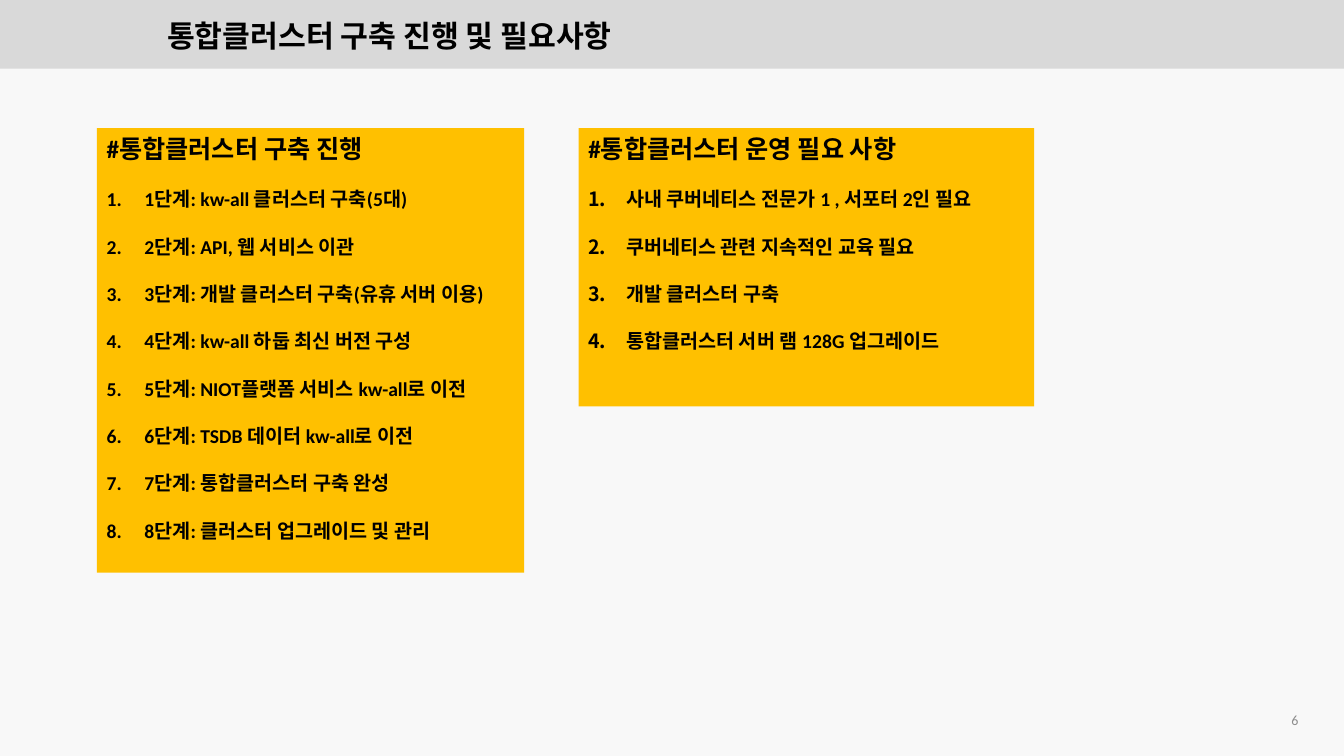
from pptx import Presentation
from pptx.dml.color import RGBColor
from pptx.enum.shapes import MSO_SHAPE
from pptx.enum.text import MSO_ANCHOR, PP_ALIGN
from pptx.oxml.xmlchemy import OxmlElement
from pptx.util import Cm, Pt

BLACK = RGBColor(0x00, 0x00, 0x00)
GRAY = RGBColor(0x8C, 0x8C, 0x8C)
BAND = RGBColor(0xD9, 0xD9, 0xD9)
PAPER = RGBColor(0xF8, 0xF8, 0xF8)
AMBER = RGBColor(0xFF, 0xC0, 0x00)

TITLE_FONT = {"name": "Noto Sans CJK KR", "size": Pt(21.6), "bold": True}
HEADING_FONT = {"name": "Calibri", "size": Pt(18), "bold": True}
ITEM_FONT = {"name": "Calibri", "size": Pt(14), "bold": True}
NUMBER_FONT = {"name": "Calibri", "size": Pt(10), "bold": False}
TITLE_FRAME = {
    "margin_left": Cm(0.1), "margin_right": Cm(0.1),
    "margin_top": Cm(0.1), "margin_bottom": Cm(0),
    "vertical_anchor": MSO_ANCHOR.MIDDLE, "word_wrap": True,
}
NUMBER_FRAME = {"vertical_anchor": MSO_ANCHOR.MIDDLE, "word_wrap": True}
PANEL_FRAME = {"vertical_anchor": MSO_ANCHOR.TOP, "word_wrap": True}
ITEM_GAP = Pt(17)
ITEM_INDENT = Cm(0.95)

BUILD_STEPS = [
    "kw-all 클러스터 구축(5대)",
    "API, 웹 서비스 이관",
    "개발 클러스터 구축(유휴 서버 이용)",
    "kw-all 하둡 최신 버전 구성",
    "NIOT플랫폼 서비스 kw-all로 이전",
    "TSDB 데이터 kw-all로 이전",
    "통합클러스터 구축 완성",
    "클러스터 업그레이드 및 관리",
]
OPERATION_NEEDS = [
    "사내 쿠버네티스 전문가 1 , 서포터 2인 필요",
    "쿠버네티스 관련 지속적인 교육 필요",
    "개발 클러스터 구축",
    "통합클러스터 서버 램 128G 업그레이드",
]


def apply_format(target, values):
    """Set every attribute named in values on target."""
    for name, value in values.items():
        setattr(target, name, value)


def write_text(para, text, font, color=BLACK):
    """Put one formatted span of text in a paragraph."""
    span = para.add_run()
    span.text = text
    apply_format(span.font, font)
    span.font.color.rgb = color


def number_paragraph(para):
    """Give a paragraph a hanging automatic number."""
    properties = para._p.get_or_add_pPr()
    properties.set("marL", str(ITEM_INDENT))
    properties.set("indent", str(-ITEM_INDENT))
    numbering = OxmlElement("a:buAutoNum")
    numbering.set("type", "arabicPeriod")
    properties.append(numbering)


def add_block(page, area, color):
    """Add a plain filled rectangle."""
    box = page.shapes.add_shape(MSO_SHAPE.RECTANGLE, *map(Cm, area))
    box.shadow.inherit = False
    box.fill.solid()
    box.fill.fore_color.rgb = color
    box.line.fill.background()
    return box


def add_label(page, area, text, frame, font, layout, color=BLACK):
    """Add a text box with a single paragraph."""
    box = page.shapes.add_textbox(*map(Cm, area))
    apply_format(box.text_frame, frame)
    para = box.text_frame.paragraphs[0]
    apply_format(para, layout)
    write_text(para, text, font, color)


def add_panel(page, area, heading, items):
    """Add a coloured panel with a heading and a numbered list."""
    frame = add_block(page, area, AMBER).text_frame
    apply_format(frame, PANEL_FRAME)
    para = frame.paragraphs[0]
    para.alignment = PP_ALIGN.LEFT
    write_text(para, heading, HEADING_FONT)
    for item in items:
        para = frame.add_paragraph()
        number_paragraph(para)
        apply_format(para, {"alignment": PP_ALIGN.LEFT, "space_before": ITEM_GAP})
        write_text(para, item, ITEM_FONT)


def main():
    """Build the slide and save the deck."""
    deck = Presentation()
    apply_format(deck, {"slide_width": Cm(33.87), "slide_height": Cm(19.05)})
    page = deck.slides.add_slide(deck.slide_layouts[6])
    page.background.fill.solid()
    page.background.fill.fore_color.rgb = BAND
    add_block(page, (0, 1.73, 33.87, 17.32), PAPER)
    add_label(page, (30.1, 17.63, 2.87, 1.02), "6", NUMBER_FRAME, NUMBER_FONT,
              {"alignment": PP_ALIGN.RIGHT}, GRAY)
    add_label(page, (4.11, 0.41, 15.42, 0.99), "통합클러스터 구축 진행 및 필요사항",
              TITLE_FRAME, TITLE_FONT, {"line_spacing": 0.9})
    steps = [f"{number}단계: {step}" for number, step in enumerate(BUILD_STEPS, 1)]
    add_panel(page, (2.44, 3.23, 10.77, 11.2), "#통합클러스터 구축 진행", steps)
    add_panel(page, (14.58, 3.23, 11.48, 7.01), "#통합클러스터 운영 필요 사항",
              OPERATION_NEEDS)
    deck.save("out.pptx")


if __name__ == "__main__":
    main()
